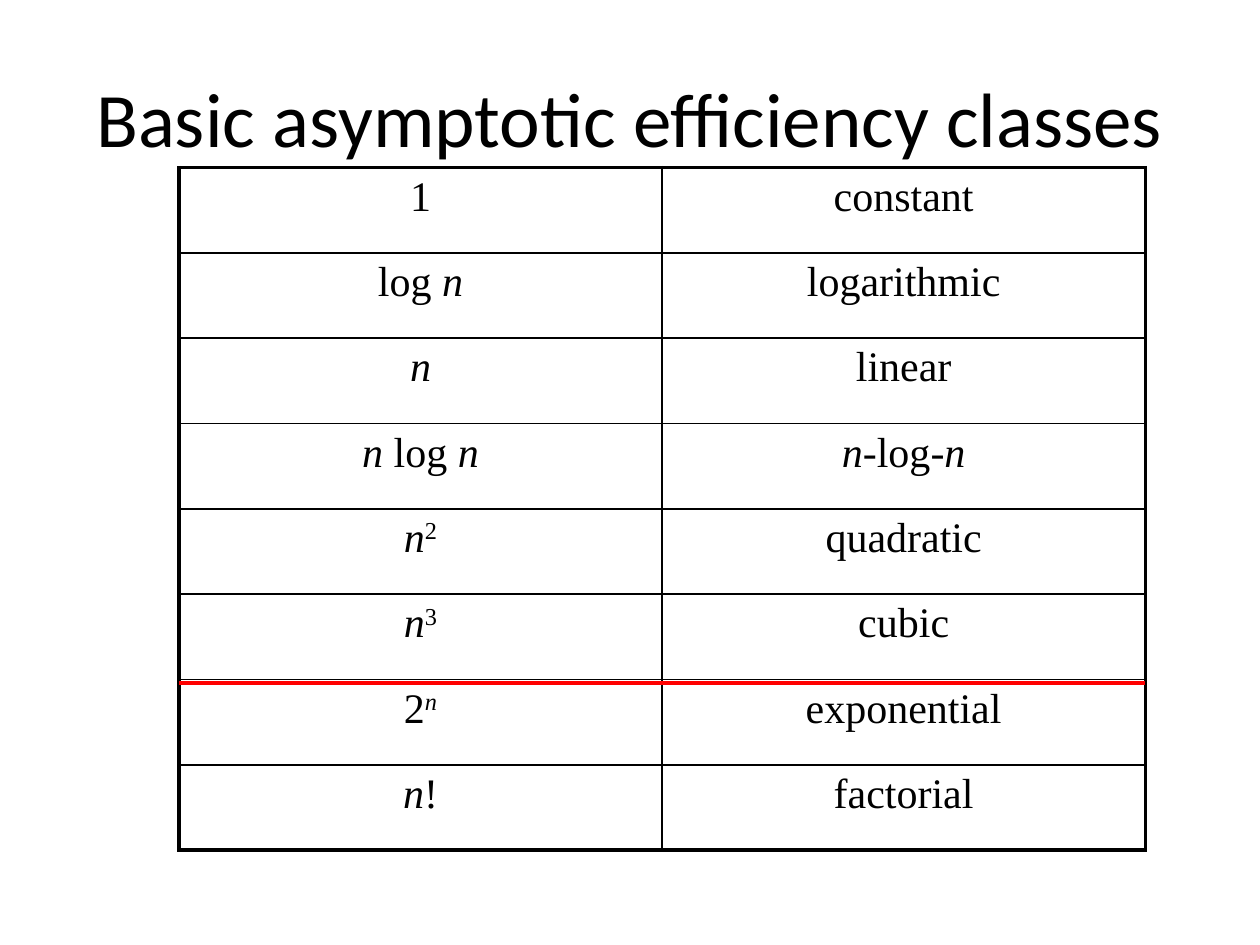
from lxml.etree import SubElement
from pptx import Presentation
from pptx.dml.color import RGBColor
from pptx.enum.shapes import MSO_CONNECTOR
from pptx.enum.text import MSO_ANCHOR, PP_ALIGN
from pptx.oxml.ns import qn
from pptx.util import Inches, Pt

BLACK = RGBColor(0, 0, 0)
RED = RGBColor(255, 0, 0)
THICK, THIN = Pt(2.25), Pt(1)

# "_" marks italic text, "^" marks a superscript
CLASSES = [
    (["1"], ["constant"]),
    (["log ", "_n"], ["logarithmic"]),
    (["_n"], ["linear"]),
    (["_n ", "log ", "_n"], ["_n-", "log", "_-n"]),
    (["_n", "^2"], ["quadratic"]),
    (["_n", "^3"], ["cubic"]),
    (["2", "^_n"], ["exponential"]),
    (["_n", "!"], ["factorial"]),
]


def style(para, name, size):
    para.alignment = PP_ALIGN.CENTER
    para.font.name = name
    para.font.size = Pt(size)
    para.font.color.rgb = BLACK


def add_title(slide, text, left, top, width, height):
    frame = slide.shapes.add_textbox(left, top, width, height).text_frame
    frame.word_wrap = True
    frame.vertical_anchor = MSO_ANCHOR.MIDDLE
    para = frame.paragraphs[0]
    para.text = text
    style(para, "Calibri", 44)


def add_parts(para, parts):
    for part in parts:
        run = para.add_run()
        run.text = part.lstrip("^_")
        if "_" in part:
            run.font.italic = True
        if part.startswith("^"):
            run._r.get_or_add_rPr().set("baseline", "30000")


def add_border(cell, side, width):
    line = SubElement(cell._tc.get_or_add_tcPr(), qn("a:ln" + side), w=str(width))
    fill = SubElement(line, qn("a:solidFill"))
    SubElement(fill, qn("a:srgbClr"), val=str(BLACK))


def add_classes(slide, left, top, width, height):
    count = len(CLASSES)
    table = slide.shapes.add_table(count, 2, left, top, width, height).table
    table.first_row = table.horz_banding = False
    for row, pair in enumerate(CLASSES):
        for col, parts in enumerate(pair):
            cell = table.cell(row, col)
            edges = {"L": col == 0, "R": col == 1, "T": row == 0, "B": row == count - 1}
            for side, outer in edges.items():
                add_border(cell, side, THICK if outer else THIN)
            cell.fill.background()
            para = cell.text_frame.paragraphs[0]
            add_parts(para, parts)
            style(para, "Times New Roman", 24)


def add_rule(slide, left, top, width):
    rule = slide.shapes.add_connector(
        MSO_CONNECTOR.STRAIGHT, left, top, left + width, top)
    rule.line.color.rgb = RED
    rule.line.width = THICK
    SubElement(rule._element.spPr, qn("a:effectLst"))


deck = Presentation()
deck.slide_width, deck.slide_height = Inches(10), Inches(7.5)
slide = deck.slides.add_slide(deck.slide_layouts[6])
left, width = Inches(1.42), Inches(7.67)
add_title(slide, "Basic asymptotic efficiency classes",
          Inches(0.5), Inches(0.3), Inches(9), Inches(1.25))
add_classes(slide, left, Inches(1.33), width, Inches(5.42))
add_rule(slide, left, Inches(5.42), width)
deck.save("out.pptx")
